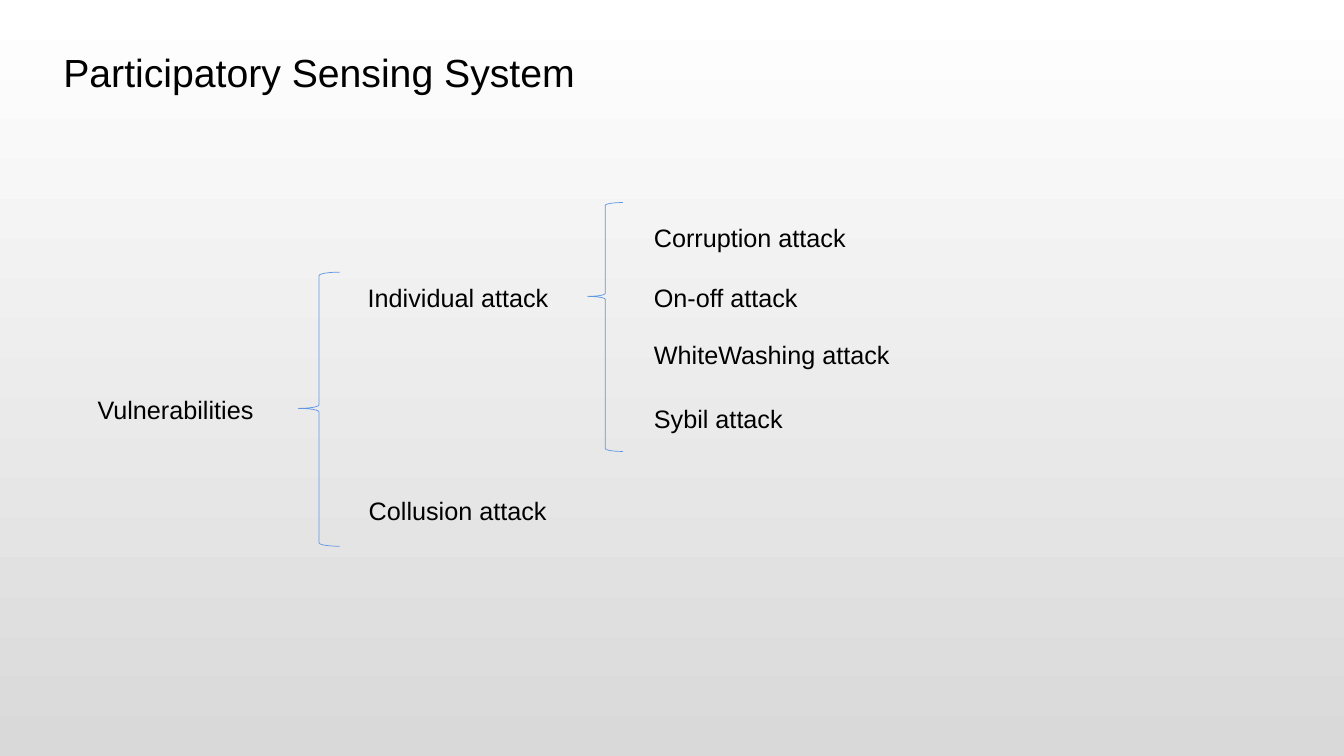
from pptx import Presentation
from pptx.dml.color import RGBColor
from pptx.enum.shapes import MSO_SHAPE
from pptx.enum.text import MSO_AUTO_SIZE
from pptx.util import Pt

COLORS = {"text": "000000", "brace": "6096E6", "top": "FFFFFF", "bottom": "D9D9D9"}
LABEL_HEIGHT = 28.8


def color(key):
    return RGBColor.from_string(COLORS[key])


def paint_background(slide):
    fill = slide.background.fill
    fill.gradient()
    fill.gradient_angle = 270
    for stop, key, position in zip(fill.gradient_stops, ("top", "bottom"), (0, 1)):
        stop.color.rgb = color(key)
        stop.position = position


def add_label(slide, wording, left, top, width, height=LABEL_HEIGHT, size=18):
    label = slide.shapes.add_textbox(Pt(left), Pt(top), Pt(width), Pt(height))
    frame = label.text_frame
    frame.text = wording
    frame.word_wrap = True
    frame.auto_size = MSO_AUTO_SIZE.SHAPE_TO_FIT_TEXT
    font = frame.paragraphs[0].runs[0].font
    font.name = "Arial"
    font.size = Pt(size)
    font.color.rgb = color("text")


def add_brace(slide, left, top, width, height, point):
    brace = slide.shapes.add_shape(
        MSO_SHAPE.LEFT_BRACE, Pt(left), Pt(top), Pt(width), Pt(height))
    brace.adjustments[0] = 0.083
    brace.adjustments[1] = point
    brace.shadow.inherit = False
    brace.fill.background()
    brace.line.color.rgb = color("brace")
    brace.line.width = Pt(0.5)


def add_title(slide, left, top, width, height):
    add_label(slide, "Participatory Sensing System", left, top, width, height, 28)


def add_vulnerabilities(slide, left, top):
    add_label(slide, "Vulnerabilities", left, top + 133.2, 190.8)
    add_brace(slide, left + 150.5, top + 49.7, 29.5, 195.8, 0.497)
    add_label(slide, "Individual attack", left + 193, top + 53.3, 189.4)
    add_label(slide, "Collusion attack", left + 193.7, top + 205.9, 144.7)
    add_individual_attacks(slide, left + 357.1, top)


def add_individual_attacks(slide, left, top):
    add_brace(slide, left, top, 25.2, 177.8, 0.377)
    attacks = (
        ("Corruption attack", 10.8, 271.4),
        ("On-off attack", 53.3, 146.9),
        ("WhiteWashing attack", 94.3, 207.4),
        ("Sybil attack", 139.7, 186.5),
    )
    for attack, offset, width in attacks:
        add_label(slide, attack, left + 40.3, top + offset, width)


def main():
    deck = Presentation()
    deck.slide_width, deck.slide_height = Pt(960), Pt(540)
    slide = deck.slides.add_slide(deck.slide_layouts[6])
    paint_background(slide)
    add_title(slide, 38.2, 31, 542.9, 41)
    add_vulnerabilities(slide, 62.6, 144.7)
    deck.save("out.pptx")


if __name__ == "__main__":
    main()
